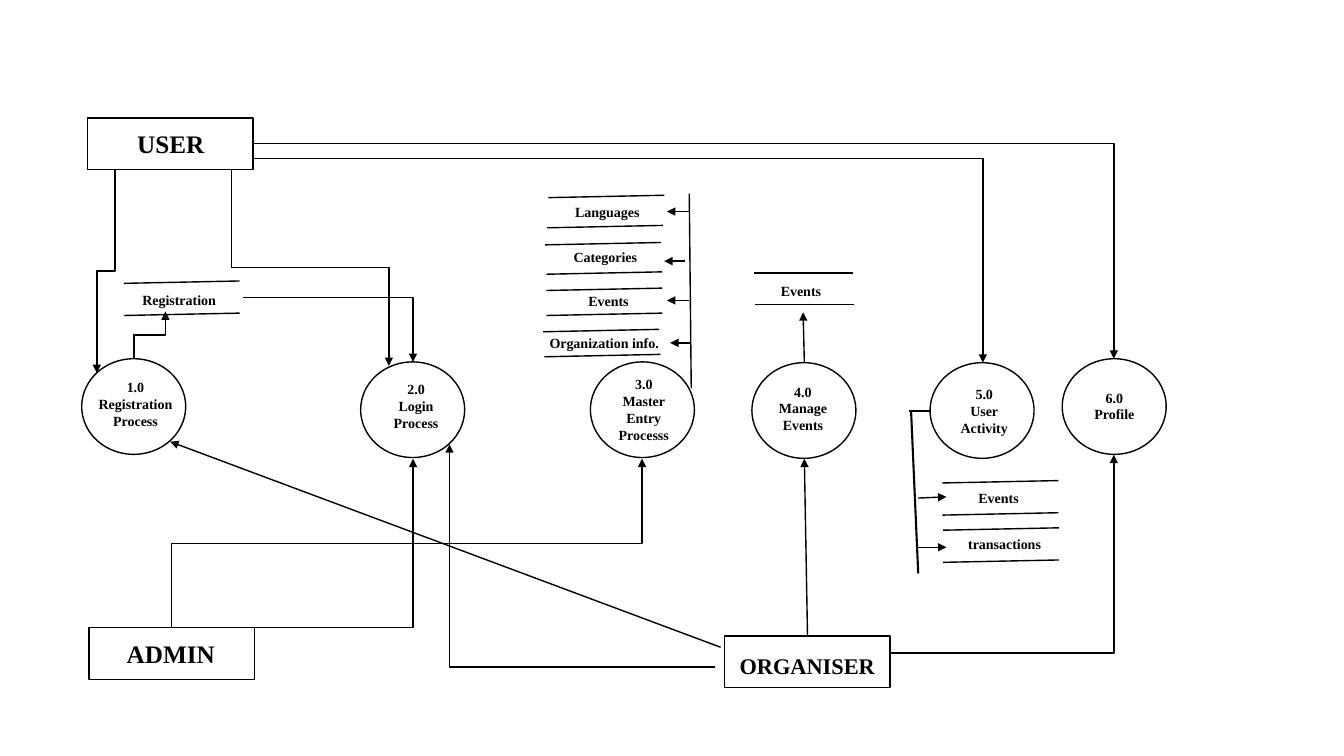
"""Draw the data flow diagram of an event management system."""
from dataclasses import dataclass
from enum import Enum

from lxml.etree import SubElement
from pptx import Presentation
from pptx.dml.color import RGBColor
from pptx.enum.shapes import MSO_CONNECTOR, MSO_SHAPE
from pptx.enum.text import MSO_AUTO_SIZE, PP_ALIGN
from pptx.oxml.ns import qn
from pptx.slide import Slide
from pptx.util import Cm, Pt

Point = tuple[float, float]


@dataclass(frozen=True)
class Theme:
    ink: RGBColor = RGBColor(0, 0, 0)
    font: str = "Times New Roman"
    small: float = 10
    medium: float = 16
    large: float = 18
    thin: float = 1
    thick: float = 1.5


THEME = Theme()


class Route(Enum):
    STRAIGHT = "line"
    CORNER = "bentConnector2"
    STEP = "bentConnector3"


@dataclass(frozen=True)
class Node:
    text: str
    at: Point
    label: Point
    size: float = THEME.small


@dataclass(frozen=True)
class Store:
    text: str
    label: Point
    rails: tuple[Point, Point]
    width: float = 2.92
    rise: float = 0.06


@dataclass(frozen=True)
class Flow:
    start: Point
    end: Point
    route: Route = Route.STRAIGHT
    arrow: bool = True
    weight: float = THEME.thin


STEPS = [
    Node("1.0\nRegistration\nProcess", (2.06, 9.04), (-0.08, 9.42)),
    Node("2.0\nLogin\nProcess", (9.09, 9.12), (6.99, 9.47)),
    Node("3.0\nMaster\nEntry\nProcesss", (14.88, 9.12), (12.73, 9.35)),
    Node("4.0\nManage\nEvents", (18.95, 9.14), (16.74, 9.53)),
    Node("5.0\nUser\nActivity", (23.44, 9.14), (21.31, 9.6)),
    Node("6.0\nProfile", (26.77, 9.04), (24.59, 9.68)),
]
ACTORS = [
    Node("USER", (2.21, 2.97), (0.81, 3.12), THEME.large),
    Node("ADMIN", (2.24, 15.82), (0.81, 15.95), THEME.large),
    Node("ORGANISER", (18.26, 16.03), (16.85, 16.31), THEME.medium),
]
STORES = [
    Store("Registration", (1.02, 7.21), ((3.12, 7.14), (3.12, 7.95))),
    Store("Languages", (11.81, 5), ((13.82, 4.98), (13.79, 5.74))),
    Store("Categories", (11.76, 6.15), ((13.74, 6.17), (13.77, 6.91))),
    Store("Events", (11.84, 7.24), ((13.77, 7.32), (13.77, 7.95))),
    Store("Organization info.", (11.73, 8.31), ((13.69, 8.36), (13.72, 8.99))),
    Store("Events", (16.69, 6.99), ((19, 6.88), (19.02, 7.67)), 2.49, 0),
    Store("Events", (21.67, 12.22), ((23.75, 12.17), (23.75, 12.98))),
    Store("transactions", (21.82, 13.36), ((23.77, 13.36), (23.77, 14.17))),
]
FLOWS = [
    Flow((2.9, 4.27), (2.44, 9.4), Route.STEP),
    Flow((5.84, 4.27), (9.8, 9.22), Route.STEP),
    Flow((3.38, 9.04), (4.17, 7.85), Route.STEP),
    Flow((4.32, 15.82), (16.18, 11.56), Route.STEP),
    Flow((6.12, 7.49), (10.41, 9.12), Route.CORNER),
    Flow((5.84, 15.82), (10.41, 11.56), Route.CORNER),
    Flow((22.45, 16.46), (28.07, 11.46), Route.CORNER),
    Flow((6.4, 3.61), (28.07, 9.04), Route.CORNER),
    Flow((6.4, 3.99), (24.77, 9.14), Route.CORNER),
    Flow((18.03, 16.81), (11.33, 11.2), Route.CORNER),
    Flow((17.42, 9.78), (17.37, 4.88), arrow=False),
    Flow((17.37, 5.33), (16.81, 5.33)),
    Flow((17.27, 6.58), (16.74, 6.58)),
    Flow((17.37, 7.57), (16.81, 7.57)),
    Flow((17.4, 8.64), (16.89, 8.64)),
    Flow((20.27, 9.14), (20.24, 7.87)),
    Flow((23.14, 12.55), (23.85, 12.52)),
    Flow((23.11, 13.79), (23.85, 13.79)),
    Flow((23.44, 10.36), (22.91, 10.36), arrow=False, weight=THEME.thick),
    Flow((22.96, 10.36), (23.14, 14.45), arrow=False, weight=THEME.thick),
    Flow((18.16, 16.31), (4.29, 11.13)),
    Flow((20.35, 16.03), (20.27, 11.56)),
]


def write(slide: Slide, text: str, *, at: Point, size: float = THEME.small,
          width: float = 6.99, bold: bool = True) -> None:
    """Place centred text, one paragraph per line."""
    lines = text.split("\n")
    height = 0.25 + len(lines) * size * 0.0423
    box = slide.shapes.add_textbox(Cm(at[0]), Cm(at[1]), Cm(width), Cm(height))
    frame = box.text_frame
    frame.word_wrap = True
    frame.auto_size = MSO_AUTO_SIZE.SHAPE_TO_FIT_TEXT
    frame.text = text
    for para in frame.paragraphs:
        para.alignment = PP_ALIGN.CENTER
        for run in para.runs:
            run.font.name = THEME.font
            run.font.size = Pt(size)
            run.font.bold = bold
            run.font.color.rgb = THEME.ink


def draw_node(slide: Slide, node: Node, kind: MSO_SHAPE, size: Point) -> None:
    """Draw an outlined shape and its label."""
    shape = slide.shapes.add_shape(kind, *map(Cm, node.at + size))
    shape.shadow.inherit = False
    shape.fill.background()
    shape.line.color.rgb = THEME.ink
    shape.line.width = Pt(THEME.thin)
    write(slide, node.text, at=node.label, size=node.size)


def draw_flow(slide: Slide, flow: Flow) -> None:
    """Draw a line; a step is laid out sideways and turned a quarter."""
    (x, y), (right, base) = flow.start, flow.end
    if flow.route is Route.STEP:
        mid, level = (x + right) / 2, (y + base) / 2
        run, drop = (right - x) / 2, (base - y) / 2
        x, y, right, base = mid - drop, level + run, mid + drop, level - run
    straight = flow.route is Route.STRAIGHT
    kind = MSO_CONNECTOR.STRAIGHT if straight else MSO_CONNECTOR.ELBOW
    link = slide.shapes.add_connector(kind, Cm(x), Cm(y), Cm(right), Cm(base))
    link.line.color.rgb = THEME.ink
    link.line.width = Pt(flow.weight)
    props = link._element.spPr
    props.find(qn("a:prstGeom")).set("prst", flow.route.value)
    if flow.route is Route.STEP:
        props.find(qn("a:xfrm")).set("rot", "5400000")
    if flow.arrow:
        SubElement(props.find(qn("a:ln")), qn("a:tailEnd"), type="triangle")
    SubElement(props, qn("a:effectLst"))


def draw_store(slide: Slide, store: Store) -> None:
    """Draw a data store as a label between two rails."""
    for x, y in store.rails:
        end = (x + store.width, y - store.rise)
        draw_flow(slide, Flow((x, y), end, arrow=False))
    write(slide, store.text, at=store.label)


def main() -> None:
    """Build the slide and save it."""
    deck = Presentation()
    deck.slide_width, deck.slide_height = Cm(33.87), Cm(19.05)
    slide = deck.slides.add_slide(deck.slide_layouts[6])
    for step in STEPS:
        draw_node(slide, step, MSO_SHAPE.OVAL, (2.62, 2.41))
    for actor in ACTORS:
        draw_node(slide, actor, MSO_SHAPE.RECTANGLE, (4.17, 1.3))
    for store in STORES:
        draw_store(slide, store)
    for flow in FLOWS:
        draw_flow(slide, flow)
    deck.save("out.pptx")


if __name__ == "__main__":
    main()
